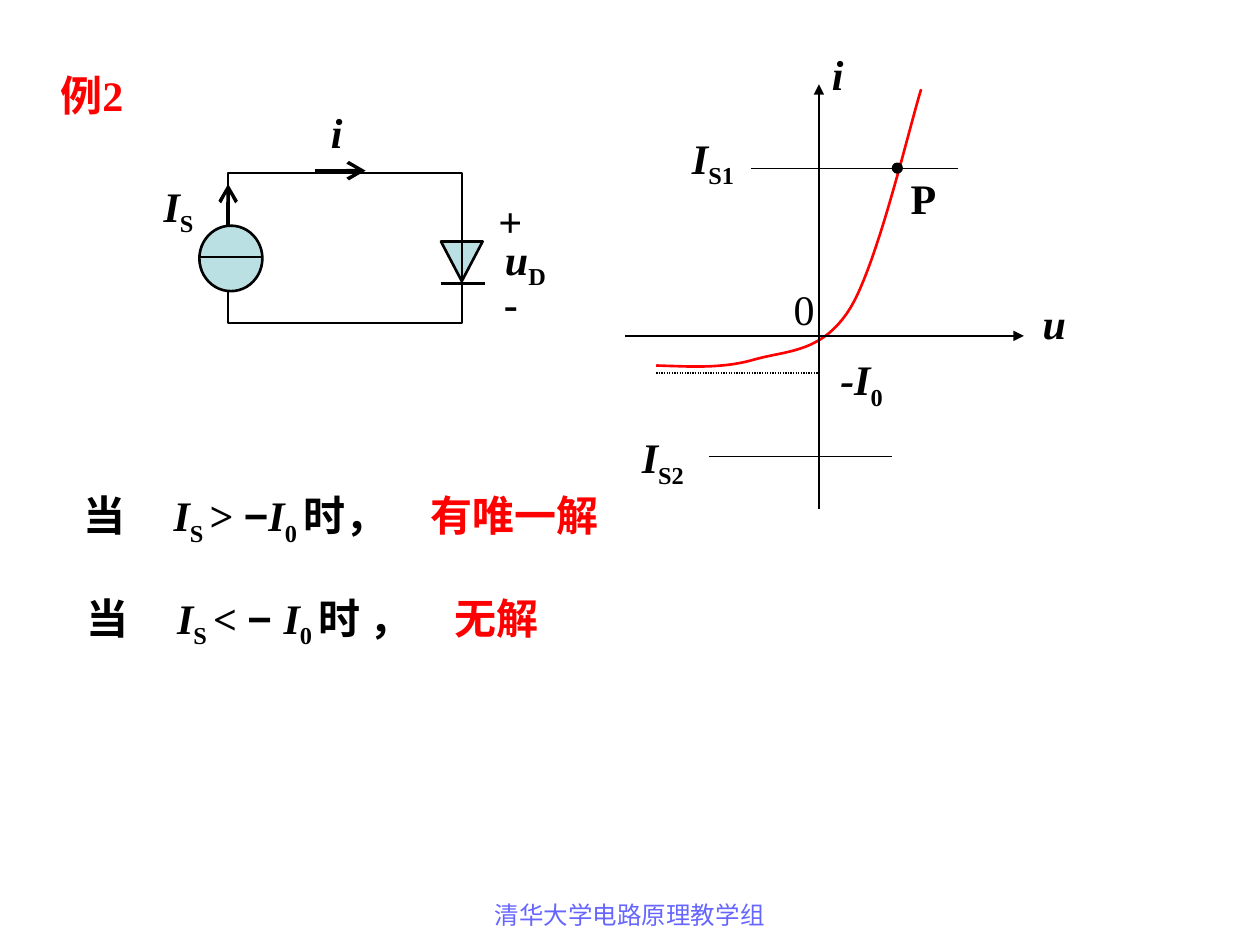
import dataclasses

import lxml.etree
import pptx
import pptx.dml.color
import pptx.enum.dml
import pptx.enum.shapes
import pptx.enum.text
import pptx.oxml.ns
import pptx.util

Cm = pptx.util.Cm
Pt = pptx.util.Pt
Shape = pptx.enum.shapes.MSO_SHAPE
qn = pptx.oxml.ns.qn


@dataclasses.dataclass(frozen=True)
class Theme:
    """Colours, fonts and type sizes of the slide."""
    ink: str = "000000"
    accent: str = "FF0000"
    device: str = "BBE0E3"
    footer: str = "6666FF"
    serif: str = "Times New Roman"
    sans: str = "Arial"
    body: int = 24
    small: int = 14
    hair: float = 0.75
    thin: float = 1
    medium: float = 1.5
    thick: float = 2


THEME = Theme()
ITALIC, SUB, RED, SANS = "italic", "sub", "red", "sans"
ARROW_SIZES = {"arrow": "lg", "triangle": "med"}


def rgb(value):
    """Return a colour object for a hex string."""
    return pptx.dml.color.RGBColor.from_string(value)


def add_text(page, box, spans, bold=True, wrap=False, tabs=()):
    """Place one line of (text, style) spans in a box, with optional tab stops."""
    frame = page.shapes.add_textbox(*map(Cm, box)).text_frame
    frame.word_wrap = wrap
    frame.auto_size = pptx.enum.text.MSO_AUTO_SIZE.SHAPE_TO_FIT_TEXT
    para = frame.paragraphs[0]
    if tabs:
        tab_list = lxml.etree.SubElement(para._p.get_or_add_pPr(), qn("a:tabLst"))
        for stop in tabs:
            lxml.etree.SubElement(tab_list, qn("a:tab"), pos=str(Cm(stop)), algn="l")
    for text, style in spans:
        span = para.add_run()
        span.text = text
        span.font.size = Pt(THEME.body)
        span.font.name = THEME.sans if style == SANS else THEME.serif
        span.font.bold = bold
        span.font.italic = style == ITALIC
        span.font.color.rgb = rgb(THEME.accent if style == RED else THEME.ink)
        if style == SUB:
            span._r.get_or_add_rPr().set("baseline", "-25000")


def add_labels(page, left, top, labels):
    """Place (x, y, width, height, spans) labels relative to a corner."""
    for x, y, width, height, spans in labels:
        add_text(page, (left + x, top + y, width, height), spans)


def add_line(page, start, end, width, arrow=None, dotted=False):
    """Draw a straight line, with an arrowhead at its end if one is named."""
    line = page.shapes.add_connector(
        pptx.enum.shapes.MSO_CONNECTOR.STRAIGHT, *map(Cm, start + end))
    line.line.color.rgb = rgb(THEME.ink)
    line.line.width = Pt(width)
    if dotted:
        line.line.dash_style = pptx.enum.dml.MSO_LINE.ROUND_DOT
    if arrow:
        size = ARROW_SIZES[arrow]
        lxml.etree.SubElement(line.line._get_or_add_ln(), qn("a:tailEnd"),
                              type=arrow, w=size, len=size)
    lxml.etree.SubElement(line._element.spPr, qn("a:effectLst"))


def add_outline(page, kind, box, width, fill=None):
    """Draw a preset shape with a black outline and an optional fill."""
    shape = page.shapes.add_shape(kind, *map(Cm, box))
    shape.shadow.inherit = False
    shape.line.color.rgb = rgb(THEME.ink)
    shape.line.width = Pt(width)
    if fill:
        shape.fill.solid()
        shape.fill.fore_color.rgb = rgb(fill)
    else:
        shape.fill.background()
    return shape


def bezier_points(knots, steps=20):
    """Return points along a chain of cubic curves."""
    points = [knots[0]]
    for first in range(0, len(knots) - 1, 3):
        a, b, c, d = knots[first:first + 4]
        for step in range(1, steps + 1):
            t = step / steps
            s = 1 - t
            points.append(tuple(
                s ** 3 * p + 3 * s * s * t * q + 3 * s * t * t * r + t ** 3 * e
                for p, q, r, e in zip(a, b, c, d)))
    return points


def add_curve(page, left, top, knots):
    """Draw the red characteristic through curve knots relative to a corner."""
    points = [(Cm(left + x), Cm(top + y)) for x, y in bezier_points(knots)]
    builder = page.shapes.build_freeform(*points[0])
    builder.add_line_segments(points[1:], close=False)
    curve = builder.convert_to_shape()
    curve.shadow.inherit = False
    curve.fill.background()
    curve.line.color.rgb = rgb(THEME.accent)
    curve.line.width = Pt(THEME.medium)


def add_circuit(page, left, top):
    """Draw the current source and diode loop."""
    def at(x, y):
        return left + x, top + y

    diode = add_outline(page, Shape.ISOSCELES_TRIANGLE, at(5.89, 2.87) + (0.84, 0.8),
                        THEME.medium, THEME.device)
    diode._element.spPr.get_or_add_xfrm().set("flipV", "1")
    add_outline(page, Shape.RECTANGLE, at(1.6, 1.49) + (4.72, 3.02), THEME.thin)
    add_line(page, at(5.89, 3.72), at(6.78, 3.72), THEME.medium)
    add_line(page, at(3.35, 1.44), at(4.37, 1.44), THEME.thick, "arrow")
    add_outline(page, Shape.OVAL, at(1.02, 2.55) + (1.27, 1.32),
                THEME.medium, THEME.device)
    add_line(page, at(1.02, 3.18), at(2.29, 3.18), THEME.thin)
    add_line(page, at(1.6, 2.55), at(1.6, 1.71), THEME.thick, "arrow")
    add_labels(page, left, top, [
        (3.42, 0.03, 0.74, 1.27, [("i", ITALIC)]),
        (6.8, 1.81, 0.99, 1.27, [("+", None)]),
        (6.91, 3.46, 0.79, 1.27, [("-", None)]),
        (6.93, 2.58, 1.5, 1.42, [("u", ITALIC), ("D", SUB)]),
        (0.05, 1.51, 1.3, 1.42, [("I", ITALIC), ("S", SUB)]),
    ])


def add_graph(page, left, top):
    """Draw the diode characteristic with its axes and load lines."""
    def at(x, y):
        return left + x, top + y

    add_curve(page, left, top, [
        (0.63, 6.57), (1.32, 6.59), (1.98, 6.64), (2.64, 6.44), (3.3, 6.26),
        (3.99, 6.31), (4.55, 5.4), (5.1, 4.48), (5.74, 1.74), (5.97, 1)])
    add_line(page, at(0.63, 6.72), at(3.91, 6.72), THEME.hair, dotted=True)
    add_line(page, at(2.54, 2.59), at(6.71, 2.59), THEME.hair)
    add_outline(page, Shape.OVAL, at(5.39, 2.49) + (0.2, 0.2), THEME.hair, THEME.ink)
    add_line(page, at(1.7, 8.4), at(5.39, 8.4), THEME.hair)
    add_line(page, at(0, 5.97), at(8.04, 5.97), THEME.medium, "triangle")
    add_line(page, at(3.91, 9.46), at(3.91, 0.9), THEME.medium, "triangle")
    add_labels(page, left, top, [
        (4.09, 6.21, 1.37, 1.42, [("-I", ITALIC), ("0", SUB)]),
        (5.51, 2.55, 1.02, 1.27, [("P", None)]),
        (1.1, 1.74, 1.35, 1.42, [("I", ITALIC), ("S1", SUB)]),
        (0.09, 7.78, 1.35, 1.42, [("I", ITALIC), ("S2", SUB)]),
        (8.17, 5.07, 0.97, 1.27, [("u", ITALIC)]),
        (3.92, 0.05, 0.74, 1.27, [("i", ITALIC)]),
    ])
    add_text(page, at(3.15, 4.79) + (0.91, 1.27), [("0", None)], bold=False)


def add_condition(page, box, sign, minus, when, result, result_tab):
    """Write one solvability condition and its result."""
    add_text(page, box, [
        ("当\t", None), ("I", ITALIC), ("S ", SUB), (sign, None), (minus, SANS),
        ("I", ITALIC), ("0 ", SUB), (when + "\t", None), (result, RED),
    ], wrap=True, tabs=(1.82, result_tab))


def add_footer(page, box):
    """Write the centred footer."""
    frame = page.shapes.add_textbox(*map(Cm, box)).text_frame
    frame.word_wrap = True
    frame.text = "清华大学电路原理教学组"
    para = frame.paragraphs[0]
    para.alignment = pptx.enum.text.PP_ALIGN.CENTER
    font = para.runs[0].font
    font.name, font.size = THEME.sans, Pt(THEME.small)
    font.color.rgb = rgb(THEME.footer)


def main():
    """Build and save the deck."""
    deck = pptx.Presentation()
    deck.slide_width, deck.slide_height = Cm(25.4), Cm(19.05)
    page = deck.slides.add_slide(deck.slide_layouts[6])
    add_text(page, (0.97, 1.27, 2.39, 1.27), [("例2", RED)])
    add_circuit(page, 3, 2)
    add_graph(page, 12.6, 0.8)
    add_condition(page, (1.43, 9.75, 11.18, 1.42), "> ", "−", "时，", "有唯一解", 7)
    add_condition(page, (1.5, 11.81, 9.98, 1.42), "< ", "− ", "时 ，", "无解", 7.42)
    add_footer(page, (8.67, 18.01, 8.05, 1.32))
    deck.save("out.pptx")


if __name__ == "__main__":
    main()
